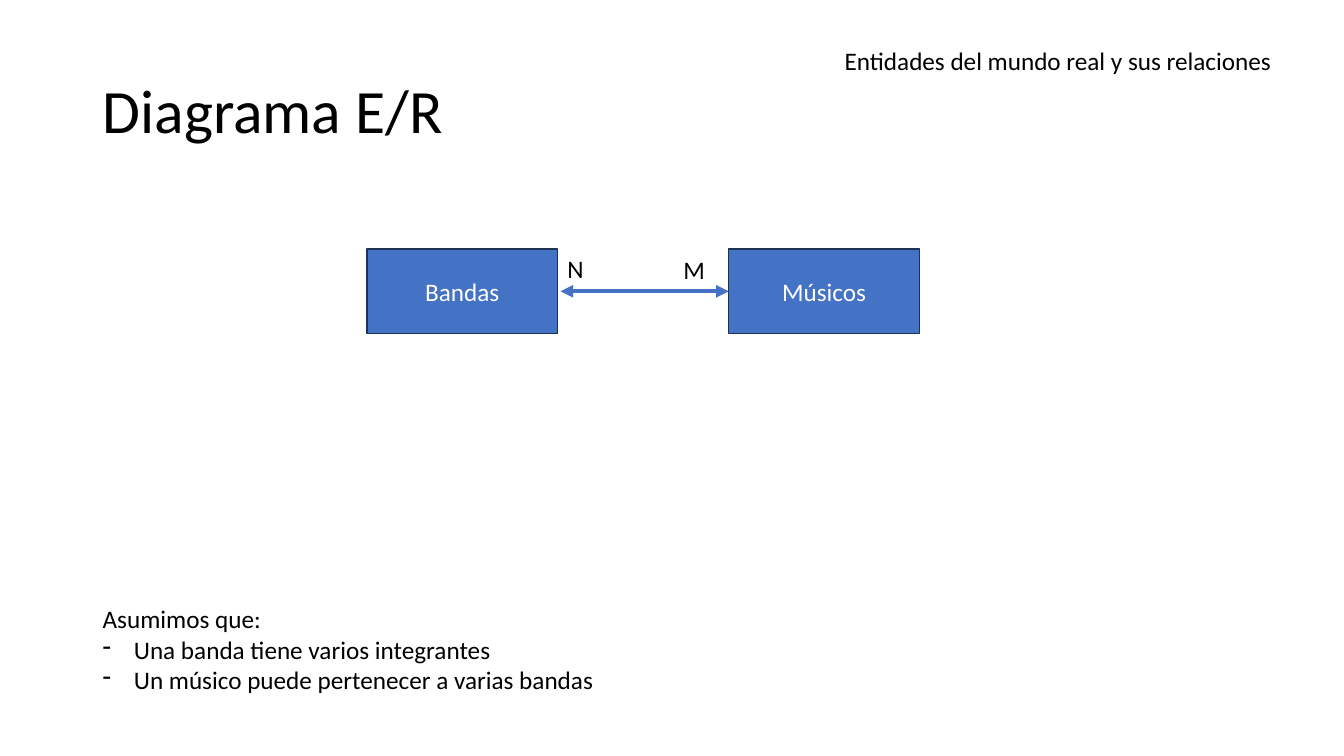
from dataclasses import dataclass

from lxml import etree
from pptx import Presentation
from pptx.dml.color import RGBColor
from pptx.enum.shapes import MSO_CONNECTOR, MSO_SHAPE
from pptx.enum.text import MSO_ANCHOR, PP_ALIGN
from pptx.oxml.ns import qn
from pptx.shapes.autoshape import Shape
from pptx.shapes.connector import Connector
from pptx.slide import Slide
from pptx.text.text import _Paragraph
from pptx.util import Inches, Pt

RECTANGLE = MSO_SHAPE.RECTANGLE
STRAIGHT = MSO_CONNECTOR.STRAIGHT
LEFT, CENTER, RIGHT = PP_ALIGN.LEFT, PP_ALIGN.CENTER, PP_ALIGN.RIGHT
TOP, MIDDLE = MSO_ANCHOR.TOP, MSO_ANCHOR.MIDDLE
LEFT_SIDE = 1

COLUMNS, ROWS = 160, 90
CELL = Inches(1) // 12
FONT = "Calibri"
BLACK, WHITE, BLUE, NAVY = "000000", "FFFFFF", "4472C4", "1E3256"
BULLET_INDENT = Inches(0.31)


@dataclass(frozen=True)
class Area:
    """A block of the slide grid, in columns and rows."""
    column: float
    row: float
    columns: float
    rows: float

    def lengths(self) -> list[int]:
        return [cells(n) for n in (self.column, self.row, self.columns, self.rows)]


@dataclass(frozen=True)
class Label:
    lines: tuple[str, ...]
    area: Area
    size: int = 18
    align: PP_ALIGN = LEFT
    anchor: MSO_ANCHOR = TOP
    spacing: float = 1.0
    bulleted_from: int = 1


@dataclass(frozen=True)
class Entity:
    name: str
    column: float


MARGIN = 11.04
ENTITY_ROW, ENTITY_COLUMNS, ENTITY_ROWS = 29.64, 22.68, 10.08
ARROW_END_COLUMN = 66.72

LABELS = (
    Label(("Diagrama E/R",), Area(MARGIN, 4.8, 138, 17.4), size=44,
          anchor=MIDDLE, spacing=0.9),
    Label(("Entidades del mundo real y sus relaciones",),
          Area(92.52, 4.8, 60, 4.8), align=RIGHT),
    Label(("Asumimos que:", "Una banda tiene varios integrantes",
           "Un músico puede pertenecer a varias bandas"),
          Area(MARGIN, 71.28, 122.04, 12.12)),
    Label(("N",), Area(66.36, 29.52, 9, 4.8)),
    Label(("M",), Area(80.16, 29.64, 9, 4.8)),
)
BANDS = Entity("Bandas", 43.68)
MUSICIANS = Entity("Músicos", 86.76)


def cells(count: float) -> int:
    return round(count * CELL)


def color(hex_value: str) -> RGBColor:
    return RGBColor.from_string(hex_value)


def style(paragraph: _Paragraph, size: int, hex_value: str, align: PP_ALIGN) -> None:
    paragraph.alignment = align
    paragraph.font.name = FONT
    paragraph.font.size = Pt(size)
    paragraph.font.color.rgb = color(hex_value)


def add_dash_bullet(paragraph: _Paragraph) -> None:
    properties = paragraph._p.get_or_add_pPr()
    properties.set("marL", str(BULLET_INDENT))
    properties.set("indent", str(-BULLET_INDENT))
    bullet = etree.Element(qn("a:buChar"), char="-")
    properties.find(qn("a:defRPr")).addprevious(bullet)


def add_label(slide: Slide, label: Label) -> None:
    frame = slide.shapes.add_textbox(*label.area.lengths()).text_frame
    frame.word_wrap = True
    frame.vertical_anchor = label.anchor
    frame.text = "\n".join(label.lines)
    for index, paragraph in enumerate(frame.paragraphs):
        style(paragraph, label.size, BLACK, label.align)
        paragraph.line_spacing = label.spacing
        if index >= label.bulleted_from:
            add_dash_bullet(paragraph)


def add_entity(slide: Slide, entity: Entity) -> Shape:
    area = Area(entity.column, ENTITY_ROW, ENTITY_COLUMNS, ENTITY_ROWS)
    box = slide.shapes.add_shape(RECTANGLE, *area.lengths())
    box.shadow.inherit = False
    box.fill.solid()
    box.fill.fore_color.rgb = color(BLUE)
    box.line.color.rgb = color(NAVY)
    box.line.width = Pt(1)
    box.text_frame.vertical_anchor = MIDDLE
    box.text_frame.text = entity.name
    style(box.text_frame.paragraphs[0], 18, WHITE, CENTER)
    return box


def add_relation(slide: Slide, source: Shape) -> Connector:
    """Double arrow from the source's left side to just short of its partner."""
    middle = cells(ENTITY_ROW + ENTITY_ROWS / 2)
    arrow = slide.shapes.add_connector(
        STRAIGHT, source.left, middle, cells(ARROW_END_COLUMN), middle)
    arrow.begin_connect(source, LEFT_SIDE)
    arrow.line.color.rgb = color(BLUE)
    arrow.line.width = Pt(3)
    line = arrow.line._get_or_add_ln()
    for end in ("a:headEnd", "a:tailEnd"):
        etree.SubElement(line, qn(end), type="triangle")
    etree.SubElement(arrow._element.spPr, qn("a:effectLst"))
    return arrow


def main() -> None:
    presentation = Presentation()
    presentation.slide_width = cells(COLUMNS)
    presentation.slide_height = cells(ROWS)
    slide = presentation.slides.add_slide(presentation.slide_layouts[6])
    add_entity(slide, BANDS)
    musicians = add_entity(slide, MUSICIANS)
    add_relation(slide, musicians)
    for label in LABELS:
        add_label(slide, label)
    presentation.save("out.pptx")


if __name__ == "__main__":
    main()
